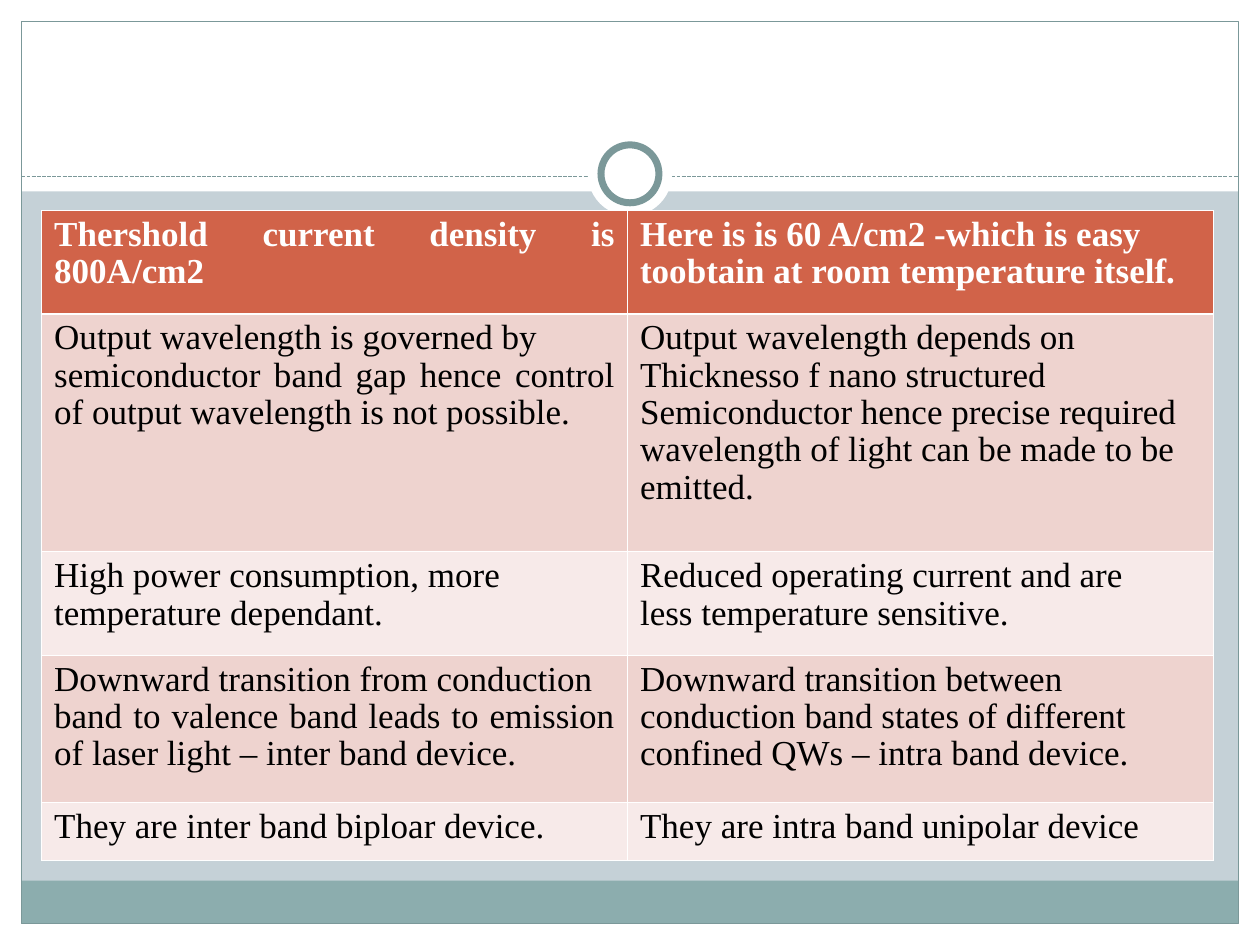
from lxml.etree import SubElement
from pptx import Presentation
from pptx.dml.color import RGBColor
from pptx.enum.dml import MSO_LINE_DASH_STYLE as Dash
from pptx.enum.shapes import MSO_CONNECTOR, MSO_SHAPE
from pptx.enum.text import PP_ALIGN
from pptx.oxml.ns import qn
from pptx.util import Inches, Pt

WIDTH, HEIGHT = 10, 7.5
MARGIN = 0.17
INNER = WIDTH - 2 * MARGIN
WHITE, BLACK, TEAL, SAGE = "FFFFFF", "000000", "7B9899", "8CADAE"
BACKGROUND, HEADER, BANDS = "C5D1D7", "D16349", ("EED3CF", "F7EAE9")

# Each row: height, paragraphs on the left, paragraphs on the right
ROWS = [
    (0.82, ["Thershold current density is 800A/cm2"],
     ["Here is is 60 A/cm2 -which is easy",
      "toobtain at room temperature itself."]),
    (1.89, ["Output wavelength is governed by",
            "semiconductor band gap hence control of output wavelength is not possible."],
     ["Output wavelength depends on",
      "Thicknesso f nano structured",
      "Semiconductor hence precise required",
      "wavelength of light can be made to be",
      "emitted."]),
    (0.82, ["High power consumption, more", "temperature dependant."],
     ["Reduced operating current and are", "less temperature sensitive."]),
    (1.17, ["Downward transition from conduction",
            "band to valence band leads to emission of laser light – inter band device."],
     ["Downward transition between",
      "conduction band states of different",
      "confined QWs – intra band device."]),
    (0.46, ["They are inter band biploar device."],
     ["They are intra band unipolar device"]),
]
TABLE_LEFT, TABLE_TOP, COLUMN_WIDTH = 0.33, 1.67, 4.65
THIN, THICK = 0.45, 1.47

# Frame parts: left, top, width, height, fill
PANELS = [
    (0, HEIGHT - MARGIN, WIDTH, MARGIN, WHITE),
    (0, 0, WIDTH, 1.52, WHITE),
    (0, 0, MARGIN, HEIGHT, WHITE),
    (WIDTH - MARGIN, 0, MARGIN, HEIGHT, WHITE),
    (MARGIN, 6.99, INNER, 0.34, SAGE),
]
RULE_TOP = 1.4
RING_CENTRE = 1.38


def color(value):
    return RGBColor.from_string(value)


def add_shape(slide, kind, box, fill=None, line=None, weight=0.75):
    shape = slide.shapes.add_shape(kind, *map(Inches, box))
    shape.shadow.inherit = False
    if fill:
        shape.fill.solid()
        shape.fill.fore_color.rgb = color(fill)
    else:
        shape.fill.background()
    if line:
        shape.line.color.rgb = color(line)
        shape.line.width = Pt(weight)
    else:
        shape.line.fill.background()


def add_circle(slide, diameter, **style):
    box = ((WIDTH - diameter) / 2, RING_CENTRE - diameter / 2, diameter, diameter)
    add_shape(slide, MSO_SHAPE.OVAL, box, WHITE, **style)


def add_borders(cell, top, bottom):
    properties = cell._tc.get_or_add_tcPr()
    for side, weight in zip("LRTB", (THIN, THIN, top, bottom)):
        line = SubElement(properties, qn(f"a:ln{side}"), w=str(Pt(weight)))
        fill = SubElement(line, qn("a:solidFill"))
        SubElement(fill, qn("a:srgbClr"), val=WHITE)


def fill_cell(cell, lines, row):
    is_header = row == 0
    add_borders(cell, THICK if row == 1 else THIN, THICK if is_header else THIN)
    cell.fill.solid()
    cell.fill.fore_color.rgb = color(HEADER if is_header else BANDS[(row - 1) % 2])
    cell.text = "\n".join(lines)
    font_format = {"name": "Times New Roman", "size": Pt(20), "bold": is_header}
    for paragraph in cell.text_frame.paragraphs:
        paragraph.alignment = PP_ALIGN.JUSTIFY
        paragraph.line_spacing = 0.96
        font = paragraph.runs[0].font
        for name, value in font_format.items():
            setattr(font, name, value)
        font.color.rgb = color(WHITE if is_header else BLACK)


def add_comparison(slide):
    heights = [row[0] for row in ROWS]
    table = slide.shapes.add_table(
        len(ROWS), 2, Inches(TABLE_LEFT), Inches(TABLE_TOP),
        Inches(2 * COLUMN_WIDTH), Inches(sum(heights))).table
    for column in table.columns:
        column.width = Inches(COLUMN_WIDTH)
    for row, (height, *cells) in enumerate(ROWS):
        table.rows[row].height = Inches(height)
        for column, lines in enumerate(cells):
            fill_cell(table.cell(row, column), lines, row)


def main():
    presentation = Presentation()
    presentation.slide_width, presentation.slide_height = Inches(WIDTH), Inches(HEIGHT)
    slide = presentation.slides.add_slide(presentation.slide_layouts[6])
    slide.background.fill.solid()
    slide.background.fill.fore_color.rgb = color(BACKGROUND)

    # Page frame
    for *box, fill in PANELS:
        add_shape(slide, MSO_SHAPE.RECTANGLE, box, fill)
    add_shape(slide, MSO_SHAPE.RECTANGLE,
              (MARGIN, MARGIN, INNER, HEIGHT - 2 * MARGIN), line=TEAL)

    # Dashed rule under the title area
    rule = slide.shapes.add_connector(
        MSO_CONNECTOR.STRAIGHT,
        *map(Inches, (MARGIN, RULE_TOP, WIDTH - MARGIN, RULE_TOP)))
    rule.line.color.rgb = color(TEAL)
    rule.line.width = Pt(0.75)
    rule.line.dash_style = Dash.SQUARE_DOT
    SubElement(rule._element.spPr, qn("a:effectLst"))

    # Ring on the rule
    add_circle(slide, 0.67)
    add_circle(slide, 0.46, line=TEAL, weight=4)

    # Comparison table
    add_comparison(slide)
    presentation.save("out.pptx")


if __name__ == "__main__":
    main()
